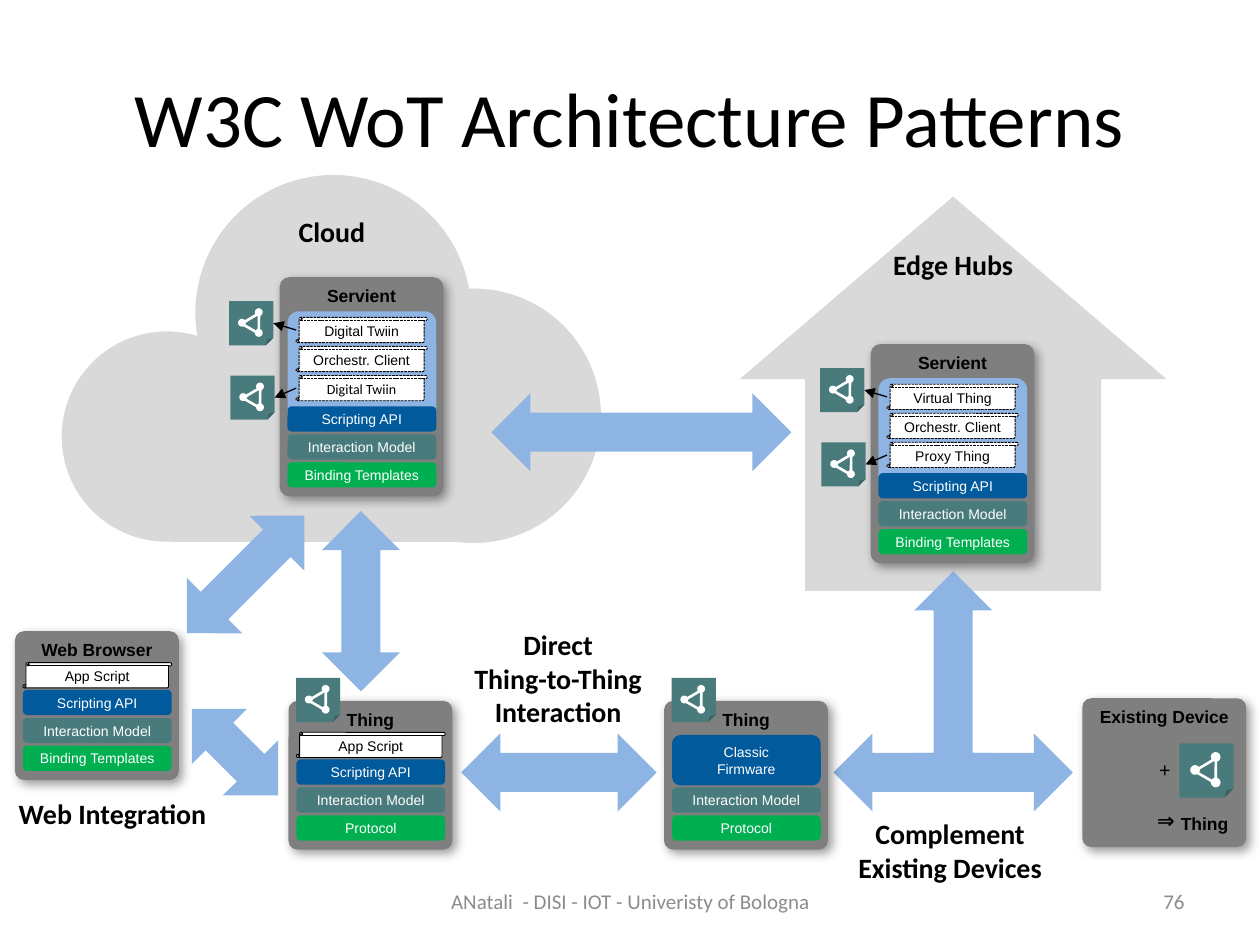
from lxml import etree
from pptx import Presentation
from pptx.dml.color import RGBColor
from pptx.enum.dml import MSO_LINE
from pptx.enum.shapes import MSO_CONNECTOR, MSO_SHAPE
from pptx.enum.text import MSO_ANCHOR, PP_ALIGN
from pptx.oxml.ns import qn
from pptx.util import Pt

LEFT, CENTER, RIGHT = PP_ALIGN.LEFT, PP_ALIGN.CENTER, PP_ALIGN.RIGHT
TOP, MIDDLE = MSO_ANCHOR.TOP, MSO_ANCHOR.MIDDLE
RECT, ROUND, OVAL = MSO_SHAPE.RECTANGLE, MSO_SHAPE.ROUNDED_RECTANGLE, MSO_SHAPE.OVAL
TRIANGLE, FOLDED = MSO_SHAPE.ISOSCELES_TRIANGLE, MSO_SHAPE.FOLDED_CORNER
SCROLL, DOUBLE_ARROW = MSO_SHAPE.VERTICAL_SCROLL, MSO_SHAPE.LEFT_RIGHT_ARROW
DASH, STRAIGHT = MSO_LINE.SQUARE_DOT, MSO_CONNECTOR.STRAIGHT

BLACK, WHITE, PALE, GRAY = "000000", "FFFFFF", "D9D9D9", "7F7F7F"
SKY, BLUE, TEAL, GREEN, MUTED = "8EB4E3", "005A9C", "4A7B7C", "00B050", "8C8C8C"

# Content: all boxes are x, y, width, height in points
BACKDROPS = [
    (OVAL, 35.3, 189.4, 120.2, 120.2),
    (OVAL, 111.6, 100, 157.7, 157.7),
    (OVAL, 198, 164.9, 145.4, 145.4),
    (RECT, 98, 224.6, 179.3, 85),
    (RECT, 460, 216.7, 169.2, 121),
    (TRIANGLE, 422.6, 112.3, 244.1, 104.4),
]
ARROWS = [  # centre x, centre y, length, rotation
    (206.3, 343.5, 103, 270),
    (366.5, 247, 171.4, 0),
    (319.4, 441.4, 111.6, 0),
    (544.7, 389.5, 126, 270),
    (544.7, 441.4, 136.8, 0),
    (134.3, 429.8, 69.8, 45),
    (140.4, 328.3, 95, 315),
]
LABELS = [  # text, box, size, bold, colour, alignment, anchor
    ("W3C WoT Architecture Patterns", (36, 21.6, 648, 90), 44, False, BLACK, CENTER, MIDDLE),
    ("Cloud", (134.6, 118.8, 110.2, 26.6), 16, True, BLACK, CENTER, TOP),
    ("Edge Hubs", (501.8, 138.2, 85.7, 26.6), 16, True, BLACK, CENTER, TOP),
    ("Direct\vThing-to-Thing\nInteraction", (262.8, 355, 112.3, 65.5), 16, True, BLACK, CENTER, TOP),
    ("Complement\vExisting Devices", (482.4, 463, 121, 46), 16, True, BLACK, CENTER, TOP),
    ("Web Integration", (3.6, 451.4, 123.1, 26.6), 16, True, BLACK, LEFT, TOP),
    ("ANatali  - DISI - IOT - Univeristy of Bologna", (246.2, 500.4, 228.2, 28.8), 12, False, MUTED, CENTER, MIDDLE),
    ("76", (516.2, 500.4, 167.8, 28.8), 12, False, MUTED, RIGHT, MIDDLE),
]
DEVICE_MARKS = [  # text, box, size, bold, font
    ("+", (655.2, 429, 20.9, 21.6), 12, False, "Calibri"),
    ("⇒", (653, 458, 26.6, 21.6), 12, True, "Calibri"),
    ("Thing", (666.7, 460.8, 43.2, 20.2), 10, True, "Arial"),
]
MODEL, API = ("Interaction Model", TEAL), ("Scripting API", BLUE)
BINDING, PROTOCOL = ("Binding Templates", GREEN), ("Protocol", GREEN)
# title, x, y, bars from the bottom up, what sits above the bars
SMALL_CARDS = [
    ("Web Browser", 8.6, 360.7, [BINDING, MODEL, API], "App Script"),
    ("Thing", 164.9, 400.5, [PROTOCOL, MODEL, API], "App Script"),
    ("Thing", 379.5, 400.5, [PROTOCOL, MODEL], "Classic\vFirmware"),
    ("Existing Device", 618.5, 399, [], None),
]
SERVIENTS = [  # x, y, scripts with their fonts
    (159.8, 158.4, [("Digital Twiin", "Arial"), ("Orchestr. Client", "Arial"), ("Digital Twiin", "Calibri")]),
    (497.5, 196.6, [("Virtual Thing", "Arial"), ("Orchestr. Client", "Arial"), ("Proxy Thing", "Arial")]),
]
ICONS = [(169.2, 387.4, 25.2), (383.8, 387.4, 25.2), (673.9, 424.8, 31)]
CARD_W, SMALL_H, SERVIENT_H = 93.6, 85, 125.3
BAR_DX, BAR_W, BAR_H, BAR_STEP, BAR_BASE = 4.5, 85, 14.4, 16, 19.5


def rgb(value):
    return RGBColor.from_string(value)


def write(sp, text, size, color=BLACK, bold=False, font="Calibri", align=CENTER,
          anchor=MIDDLE, inset=(0, 0)):
    tf = sp.text_frame
    tf.text = text
    tf.word_wrap = False
    tf.vertical_anchor = anchor
    tf.margin_left = tf.margin_right = Pt(inset[0])
    tf.margin_top = tf.margin_bottom = Pt(inset[1])
    for p in tf.paragraphs:
        p.alignment = align
        for r in p.runs:
            r.font.size, r.font.bold, r.font.name = Pt(size), bold, font
            r.font.color.rgb = rgb(color)


def shape(kind, x, y, w, h, fill=None, line=None, width=0.5, rotation=0, adj=None):
    sp = s.shapes.add_shape(kind, Pt(x), Pt(y), Pt(w), Pt(h))
    sp.shadow.inherit = False
    sp.rotation = rotation
    if fill:
        sp.fill.solid()
        sp.fill.fore_color.rgb = rgb(fill)
    else:
        sp.fill.background()
    if line:
        sp.line.color.rgb = rgb(line)
        sp.line.width = Pt(width)
    else:
        sp.line.fill.background()
    if adj:
        sp.adjustments[0] = adj
    return sp


def label(text, box, *style, **options):
    sp = s.shapes.add_textbox(*map(Pt, box))
    write(sp, text, *style, inset=(7.2, 3.6), **options)


def icon(x, y, size):
    page = shape(FOLDED, x, y, size, size, TEAL)
    shape(TRIANGLE, x + 0.35 * size, y + 0.25 * size, 0.45 * size, 0.4 * size,
          line=WHITE, width=1.5, rotation=30)
    for dx, dy in [(0.58, 0.16), (0.2, 0.4), (0.58, 0.63)]:
        shape(OVAL, x + dx * size, y + dy * size, 0.18 * size, 0.18 * size, WHITE)
    return page


def card(title, x, y, h):
    sp = shape(ROUND, x, y, CARD_W, h, GRAY, adj=0.06)
    write(sp, title, 10, bold=True, font="Arial", anchor=TOP, inset=(7.2, 2.9))
    effects = sp.element.spPr.find(qn("a:effectLst"))
    shadow = etree.SubElement(effects, qn("a:outerShdw"), blurRad=str(Pt(6)),
                              dist=str(Pt(3)), dir="2700000", algn="tl", rotWithShape="0")
    color = etree.SubElement(shadow, qn("a:srgbClr"), val=BLACK)
    etree.SubElement(color, qn("a:alpha"), val="40000")


def bar(text, x, y, fill, h=BAR_H):
    write(shape(ROUND, x + BAR_DX, y, BAR_W, h, fill), text, 8, WHITE, font="Arial")


def bars(items, x, bottom):
    for i, (text, fill) in enumerate(items):
        bar(text, x, bottom - BAR_BASE - i * BAR_STEP, fill)


def script_scroll(text, x, y, w, font="Arial"):
    sp = shape(SCROLL, x, y, w, BAR_H, WHITE, BLACK)
    write(sp, text, 8, font=font)
    return sp


def link(script, page):
    cx = s.shapes.add_connector(STRAIGHT, 0, 0, 0, 0)
    cx.begin_connect(script, 1)
    cx.end_connect(page, 3)
    cx.line.color.rgb = rgb(BLACK)
    cx.line.width = Pt(0.75)
    properties = cx.element.spPr
    etree.SubElement(properties.find(qn("a:ln")), qn("a:tailEnd"), type="triangle")
    etree.SubElement(properties, qn("a:effectLst"))


prs = Presentation()
prs.slide_width, prs.slide_height = Pt(720), Pt(540)
s = prs.slides.add_slide(prs.slide_layouts[6])

# Cloud, house and arrows
for kind, *box in BACKDROPS:
    shape(kind, *box, PALE)
for cx, cy, length, rotation in ARROWS:
    shape(DOUBLE_ARROW, cx - length / 2, cy - 22.3, length, 44.6, SKY, rotation=rotation)

# Servients with their scripts and thing icons
for x, y, scripts in SERVIENTS:
    card("Servient", x, y, SERVIENT_H)
    shape(ROUND, x + BAR_DX, y + 19.5, BAR_W, 65.5, SKY, adj=0.1)
    bars([BINDING, MODEL, API], x, y + SERVIENT_H)
    scrolls = [script_scroll(text, x + 9.4, y + 23 + 16.6 * i, 75, font)
               for i, (text, font) in enumerate(scripts)]
    for scroll in scrolls:
        scroll.line.dash_style = DASH
    link(scrolls[0], icon(x - 28.8, y + 13.7, 25.2))
    link(scrolls[2], icon(x - 28.1, y + 56.2, 25.2))

# Browser, things and existing device
for title, x, y, items, top in SMALL_CARDS:
    card(title, x, y, SMALL_H)
    bars(items, x, y + SMALL_H)
    if top == "App Script":
        script_scroll(top, x + BAR_DX, y + 18, BAR_W)
    elif top:
        bar(top, x, y + 19.5, BLUE, 28.8)
for place in ICONS:
    icon(*place)

# Text
for text, box, size, bold, color, align, anchor in LABELS:
    label(text, box, size, color, bold, align=align, anchor=anchor)
for text, box, size, bold, font in DEVICE_MARKS:
    label(text, box, size, bold=bold, font=font, anchor=TOP)

prs.save("out.pptx")
